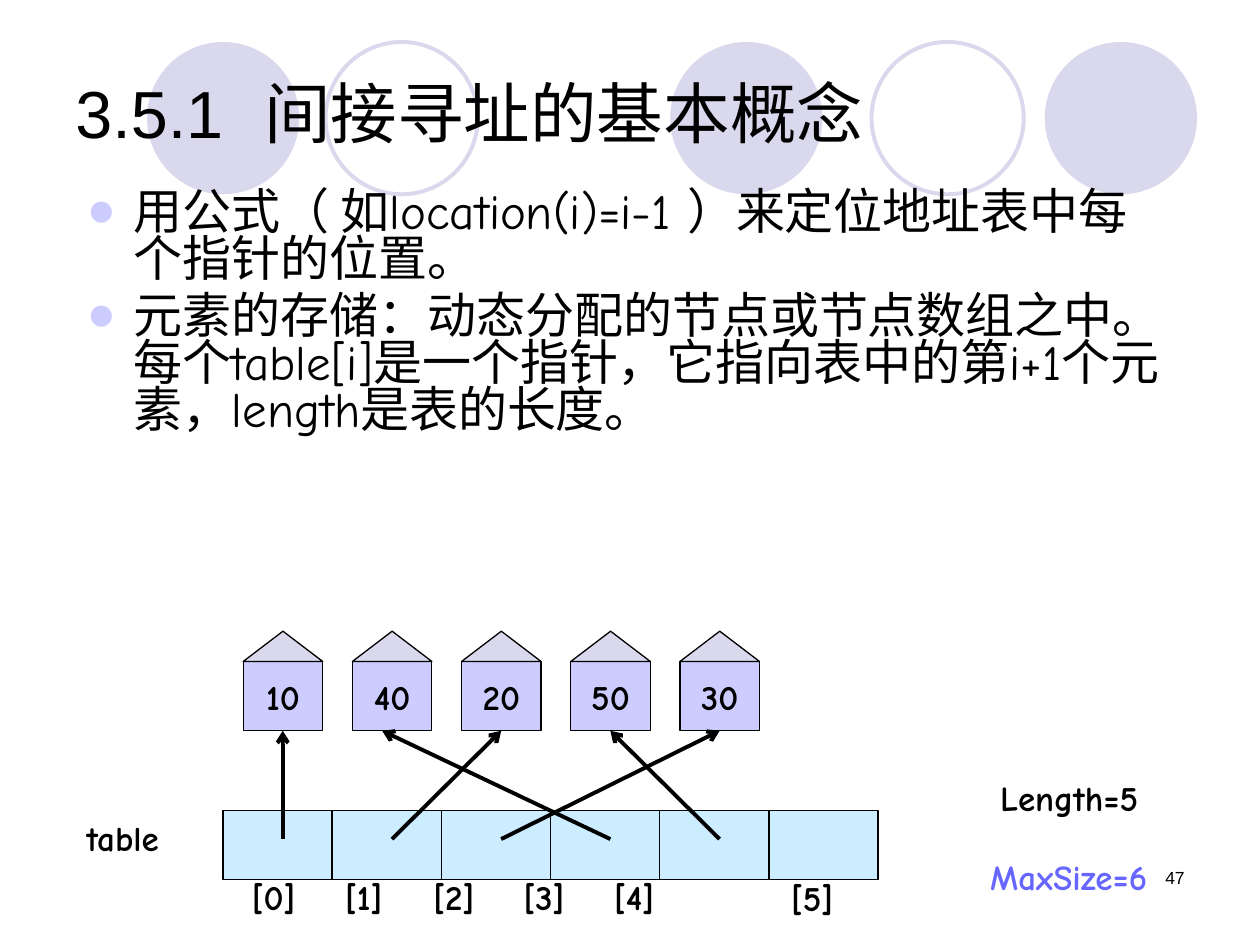
from lxml import etree
from pptx import Presentation
from pptx.enum import shapes, text
from pptx.oxml import ns
from pptx.util import Pt

HEX = dict(ink="000000", lilac="D9D8EC", node="CCCCFF", cell="CCECFF", blue="6767FF")
HAND = dict(name="Comic Neue", size=Pt(20), bold=True)
SANS = dict(name="Arial", size=Pt(38))
BODY = dict(name="Comic Neue", size=Pt(28))
FORM = shapes.MSO_SHAPE
ALIGN = text.PP_ALIGN
MID = text.MSO_ANCHOR.MIDDLE


def child(parent, tag, **attrs):
    return etree.SubElement(parent, ns.qn(tag), **attrs)


def style(para, look, color="ink", **form):
    for key, val in look.items():
        setattr(para.font, key, val)
    para.font.color.rgb = ns_color(color)
    for key, val in form.items():
        setattr(para, key, val)


def ns_color(key):
    from pptx.dml.color import RGBColor
    return RGBColor.from_string(HEX[key])


def label(slide, box, words, look, color="ink", wrap=True, anchor=None, **form):
    frame = slide.shapes.add_textbox(*map(Pt, box)).text_frame
    frame.word_wrap = wrap
    frame.vertical_anchor = anchor
    para = frame.paragraphs[0]
    para.text = words
    style(para, look, color, **form)
    return frame


def block(slide, kind, box, fill=None, line=None, width=0.75):
    shape = slide.shapes.add_shape(kind, *map(Pt, box))
    shape.shadow.inherit = False
    if fill:
        shape.fill.solid()
        shape.fill.fore_color.rgb = ns_color(fill)
    else:
        shape.fill.background()
    if line:
        shape.line.color.rgb = ns_color(line)
        shape.line.width = Pt(width)
    else:
        shape.line.fill.background()
    return shape


def arrow(slide, start, end):
    link = slide.shapes.add_connector(
        shapes.MSO_CONNECTOR.STRAIGHT, *map(Pt, (*start, *end)))
    link.line.color.rgb = ns_color("ink")
    link.line.width = Pt(2.25)
    child(link.line._get_or_add_ln(), "a:tailEnd", type="arrow")
    child(link._element.spPr, "a:effectLst")


def circles(slide, left, top, size):
    for x in (0, 299, 513):
        block(slide, FORM.OVAL, (left + x, top, size, size), fill="lilac")
    for x in (102, 414):
        block(slide, FORM.OVAL, (left + x, top, size, size), line="lilac", width=2.25)


def bullets(slide, box, items):
    frame = label(slide, box, items[0], BODY)
    for item in items[1:]:
        frame.add_paragraph().text = item
    for i, para in enumerate(frame.paragraphs):
        props = para._p.get_or_add_pPr()
        props.set("marL", str(Pt(27)))
        props.set("indent", str(-Pt(27)))
        for old in list(props):
            props.remove(old)
        tint = child(props, "a:buClr")
        child(tint, "a:srgbClr", val=HEX["node"])
        child(props, "a:buFont", typeface="Arial")
        child(props, "a:buChar", char="●")
        style(para, BODY, line_spacing=0.8, space_before=Pt(5.6 if i else 0))


def house(slide, left, top, value):
    wide, roof, wall = 45.4, 17.3, 39.6
    room = block(slide, FORM.RECTANGLE, (left, top + roof, wide, wall), "node", "ink")
    frame = room.text_frame
    frame.word_wrap = False
    frame.vertical_anchor = MID
    frame.paragraphs[0].text = value
    style(frame.paragraphs[0], HAND, alignment=ALIGN.CENTER)
    block(slide, FORM.ISOSCELES_TRIANGLE, (left, top, wide, roof), "lilac", "ink")


def diagram(slide, left, top):
    step, high, row = 62.4, 39.6, top + 102.3
    # Address table
    for i in range(6):
        block(slide, FORM.RECTANGLE, (left + i * step, row, step, high), "cell", "ink")
    # Stored elements
    for i, value in enumerate(("10", "40", "20", "50", "30")):
        house(slide, left + 11.6 + i * step, top, value)
    # Pointers: cell i points to house goal, in steps
    for i, goal in enumerate((0, 2, 4, 0.91, 3)):
        mid = left + 34.2
        arrow(slide, (mid + i * step, row + 16.5), (mid + goal * step, top + 56.9))
    # Indices on centred tab stops
    frame = label(slide, (left - 11.5, row + 33.8, 385, 31),
                  "".join(f"\t[{i}]" for i in range(5)), HAND)
    props = frame.paragraphs[0]._p.get_or_add_pPr()
    tabs = etree.Element(ns.qn("a:tabLst"))
    props.insert(0, tabs)
    for i in range(5):
        child(tabs, "a:tab", pos=str(Pt(33.4 + i * 51.5)), algn="ctr")
    label(slide, (left + 317.6, row + 34.5, 42, 31), "[5]", HAND, wrap=False)
    # Side labels
    label(slide, (left - 85, row, 85, 31), "table", HAND)
    label(slide, (left + 437, row - 23, 113, 31), "Length=5", HAND)
    label(slide, (left + 431.3, row + 22.3, 121, 31), "MaxSize=6", HAND, "blue", False)


def main():
    deck = Presentation()
    deck.slide_width, deck.slide_height = Pt(720), Pt(540)
    slide = deck.slides.add_slide(deck.slide_layouts[6])
    circles(slide, 84, 24, 87)
    label(slide, (516, 492, 168, 36), "47", dict(name="Arial", size=Pt(10)),
          alignment=ALIGN.RIGHT)
    label(slide, (36, 21.6, 648, 90), "3.5.1\t间接寻址的基本概念", SANS,
          anchor=MID, line_spacing=0.9)
    bullets(slide, (42.5, 106, 632, 226), (
        "用公式（ 如location(i)=i-1 ）来定位地址表中每个指针的位置。",
        "元素的存储：动态分配的节点或节点数组之中。每个table[i]是一个指针，"
        "它指向表中的第i+1个元素，length是表的长度。"))
    diagram(slide, 127.4, 360.7)
    deck.save("out.pptx")


if __name__ == "__main__":
    main()
